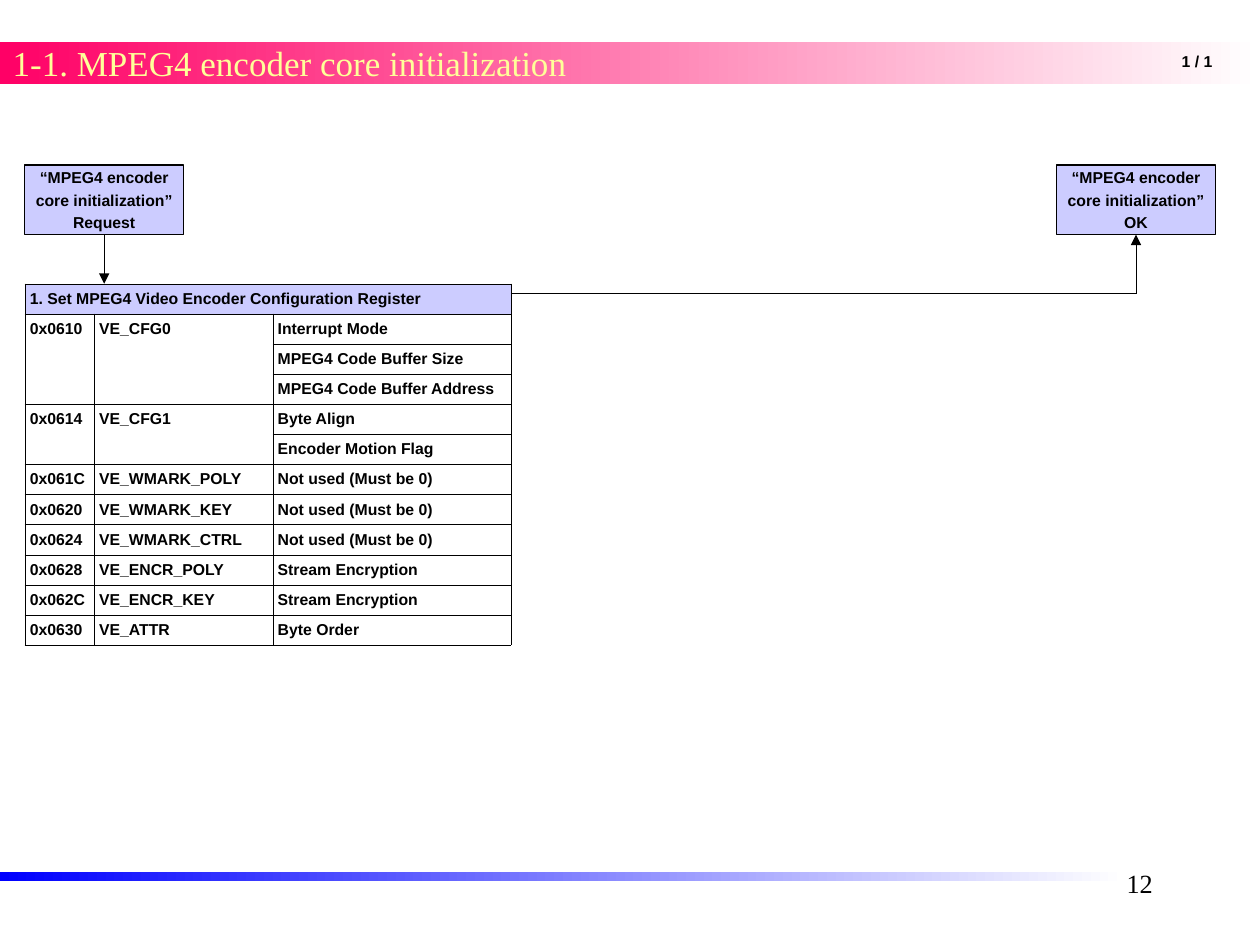
from dataclasses import dataclass

from lxml.etree import SubElement
from pptx import Presentation
from pptx.dml.color import RGBColor
from pptx.enum.shapes import MSO_CONNECTOR, MSO_SHAPE
from pptx.enum.text import MSO_ANCHOR, MSO_AUTO_SIZE, PP_ALIGN
from pptx.oxml.ns import qn
from pptx.util import Cm, Pt


@dataclass(frozen=True)
class Theme:
    serif: str = "Times New Roman"
    sans: str = "Arial"
    black: str = "000000"
    white: str = "FFFFFF"
    pink: str = "FF0066"
    blue: str = "0000FF"
    title: str = "FFFF99"
    panel: str = "CCCCFF"
    title_size: float = 20
    number_size: float = 15
    label_size: float = 9
    label_gap: float = 2.2
    box_line: float = 0.75
    arrow_line: float = 0.5
    cell_line: float = 0.23


REGISTERS = [
    ("0x0610", "VE_CFG0", ["Interrupt Mode", "MPEG4 Code Buffer Size", "MPEG4 Code Buffer Address"]),
    ("0x0614", "VE_CFG1", ["Byte Align", "Encoder Motion Flag"]),
    ("0x061C", "VE_WMARK_POLY", ["Not used (Must be 0)"]),
    ("0x0620", "VE_WMARK_KEY", ["Not used (Must be 0)"]),
    ("0x0624", "VE_WMARK_CTRL", ["Not used (Must be 0)"]),
    ("0x0628", "VE_ENCR_POLY", ["Stream Encryption"]),
    ("0x062C", "VE_ENCR_KEY", ["Stream Encryption"]),
    ("0x0630", "VE_ATTR", ["Byte Order"]),
]


class SlideBuilder:
    def __init__(self, slide, theme):
        self.slide = slide
        self.theme = theme

    def style_runs(self, paragraph, font, size, color, bold=False):
        for run in paragraph.runs:
            run.font.name = font
            run.font.size = Pt(size)
            run.font.color.rgb = RGBColor.from_string(color)
            run.font.bold = bold

    def style_label(self, text_frame, alignment=PP_ALIGN.LEFT):
        theme = self.theme
        for paragraph in text_frame.paragraphs:
            paragraph.alignment = alignment
            paragraph.space_before = Pt(theme.label_gap)
            self.style_runs(paragraph, theme.sans, theme.label_size, theme.black, bold=True)

    def set_margins(self, target, horizontal, vertical):
        target.margin_left = target.margin_right = Cm(horizontal)
        target.margin_top = target.margin_bottom = Cm(vertical)

    def fade(self, shape, color):
        """Fill with a gradient from the colour at the left to white at the right."""
        shape.shadow.inherit = False
        shape.line.fill.background()
        shape.fill.gradient()
        shape.fill.gradient_angle = 180
        for stop, stop_color in zip(shape.fill.gradient_stops, (self.theme.white, color)):
            stop.color.rgb = RGBColor.from_string(stop_color)

    def title_banner(self, text):
        theme = self.theme
        top, middle, bottom = Cm(0.84), Cm(1.27), Cm(1.7)
        shoulder, tip = Cm(25.3), Cm(25.4)
        outline = self.slide.shapes.build_freeform(0, top)
        outline.add_line_segments([(shoulder, top), (tip, middle), (shoulder, bottom), (0, bottom)])
        self.fade(outline.convert_to_shape(), theme.pink)

        title = self.slide.shapes.title
        self.slide.shapes.element.append(title.element)  # in front of the banner
        title.left, title.top, title.width, title.height = 0, top, Cm(21.5), bottom - top
        text_frame = title.text_frame
        text_frame.text = text
        text_frame.auto_size = MSO_AUTO_SIZE.NONE
        text_frame.vertical_anchor = MSO_ANCHOR.MIDDLE
        paragraph = text_frame.paragraphs[0]
        paragraph.alignment = PP_ALIGN.JUSTIFY
        self.style_runs(paragraph, theme.serif, theme.title_size, theme.title)

    def footer_bar(self):
        bar = self.slide.shapes.add_shape(MSO_SHAPE.RECTANGLE, 0, Cm(17.57), Cm(22.7), Cm(0.2))
        self.fade(bar, self.theme.blue)

    def text_box(self, left, top, width, height, margins, wrap=True):
        shape = self.slide.shapes.add_textbox(Cm(left), Cm(top), Cm(width), Cm(height))
        shape.text_frame.word_wrap = wrap
        self.set_margins(shape.text_frame, *margins)
        return shape.text_frame

    def step_counter(self, text):
        text_frame = self.text_box(23.72, 1.02, 0.82, 0.51, (0.1, 0.1), wrap=False)
        text_frame.text = text
        self.style_label(text_frame, PP_ALIGN.RIGHT)
        text_frame.paragraphs[0].line_spacing = 0.8

    def page_number(self, text):
        theme = self.theme
        text_frame = self.text_box(18.21, 17.35, 5.28, 1.27, (0.25, 0.13))
        text_frame.text = text
        paragraph = text_frame.paragraphs[0]
        paragraph.alignment = PP_ALIGN.RIGHT
        self.style_runs(paragraph, theme.serif, theme.number_size, theme.black)

    def state_box(self, left, top, width, height, text):
        theme = self.theme
        shape = self.slide.shapes.add_shape(
            MSO_SHAPE.RECTANGLE, Cm(left), Cm(top), Cm(width), Cm(height))
        shape.shadow.inherit = False
        shape.fill.solid()
        shape.fill.fore_color.rgb = RGBColor.from_string(theme.panel)
        shape.line.color.rgb = RGBColor.from_string(theme.black)
        shape.line.width = Pt(theme.box_line)
        text_frame = shape.text_frame
        text_frame.text = text
        text_frame.word_wrap = False
        text_frame.vertical_anchor = MSO_ANCHOR.MIDDLE
        self.set_margins(text_frame, 0.1, 0.1)
        self.style_label(text_frame, PP_ALIGN.CENTER)

    def line(self, start, end, arrow=False):
        connector = self.slide.shapes.add_connector(
            MSO_CONNECTOR.STRAIGHT, *(Cm(value) for value in (*start, *end)))
        connector.line.color.rgb = RGBColor.from_string(self.theme.black)
        connector.line.width = Pt(self.theme.arrow_line)
        if arrow:
            SubElement(connector.line._get_or_add_ln(), qn("a:tailEnd"), type="triangle")
        SubElement(connector.element.spPr, qn("a:effectLst"))

    def border_cell(self, cell):
        properties = cell._tc.get_or_add_tcPr()
        for side in ("a:lnL", "a:lnR", "a:lnT", "a:lnB"):
            border = SubElement(properties, qn(side), w=str(Pt(self.theme.cell_line)))
            fill = SubElement(border, qn("a:solidFill"))
            SubElement(fill, qn("a:srgbClr"), val=self.theme.black)

    def register_table(self, left, top, column_widths, row_height, heading, registers):
        row_count = 1 + sum(len(settings) for _, _, settings in registers)
        table = self.slide.shapes.add_table(
            row_count, len(column_widths), Cm(left), Cm(top),
            Cm(sum(column_widths)), Cm(row_height * row_count)).table
        table.first_row = table.horz_banding = False
        for column, width in zip(table.columns, column_widths):
            column.width = Cm(width)

        table.cell(0, 0).text = heading
        table.cell(0, 0).merge(table.cell(0, len(column_widths) - 1))
        first = 1
        for address, name, settings in registers:
            last = first + len(settings) - 1
            for column, text in enumerate((address, name)):
                table.cell(first, column).text = text
                if last > first:
                    table.cell(first, column).merge(table.cell(last, column))
            for row, setting in enumerate(settings, first):
                table.cell(row, 2).text = setting
            first = last + 1

        for cell in table.iter_cells():
            self.border_cell(cell)
            cell.fill.background()
            self.set_margins(cell, 0.1, 0.125)
            self.style_label(cell.text_frame)
        table.cell(0, 0).fill.solid()
        table.cell(0, 0).fill.fore_color.rgb = RGBColor.from_string(self.theme.panel)


def main():
    presentation = Presentation()
    presentation.slide_width, presentation.slide_height = Cm(25.4), Cm(19.05)
    builder = SlideBuilder(presentation.slides.add_slide(presentation.slide_layouts[5]), Theme())

    builder.footer_bar()
    builder.title_banner("1-1. MPEG4 encoder core initialization")

    table_left, table_top, column_widths = 0.5, 5.72, (1.4, 3.6, 4.8)
    builder.register_table(table_left, table_top, column_widths, 0.58,
                           "1. Set MPEG4 Video Encoder Configuration Register", REGISTERS)

    box_top, box_width, box_height = 3.33, 3.2, 1.4
    request_left, ok_left = 0.5, 21.3
    for left, state in ((request_left, "Request"), (ok_left, "OK")):
        builder.state_box(left, box_top, box_width, box_height,
                          f"“MPEG4 encoder\ncore initialization”\n{state}")

    box_bottom, exit_level = box_top + box_height, 5.92
    request_center, ok_center = request_left + box_width / 2, ok_left + box_width / 2
    builder.line((request_center, box_bottom), (request_center, table_top), arrow=True)
    builder.line((ok_center, exit_level), (ok_center, box_bottom), arrow=True)
    builder.line((table_left + sum(column_widths), exit_level), (ok_center, exit_level))

    builder.step_counter("1 / 1")
    builder.page_number("12")
    presentation.save("out.pptx")


if __name__ == "__main__":
    main()
